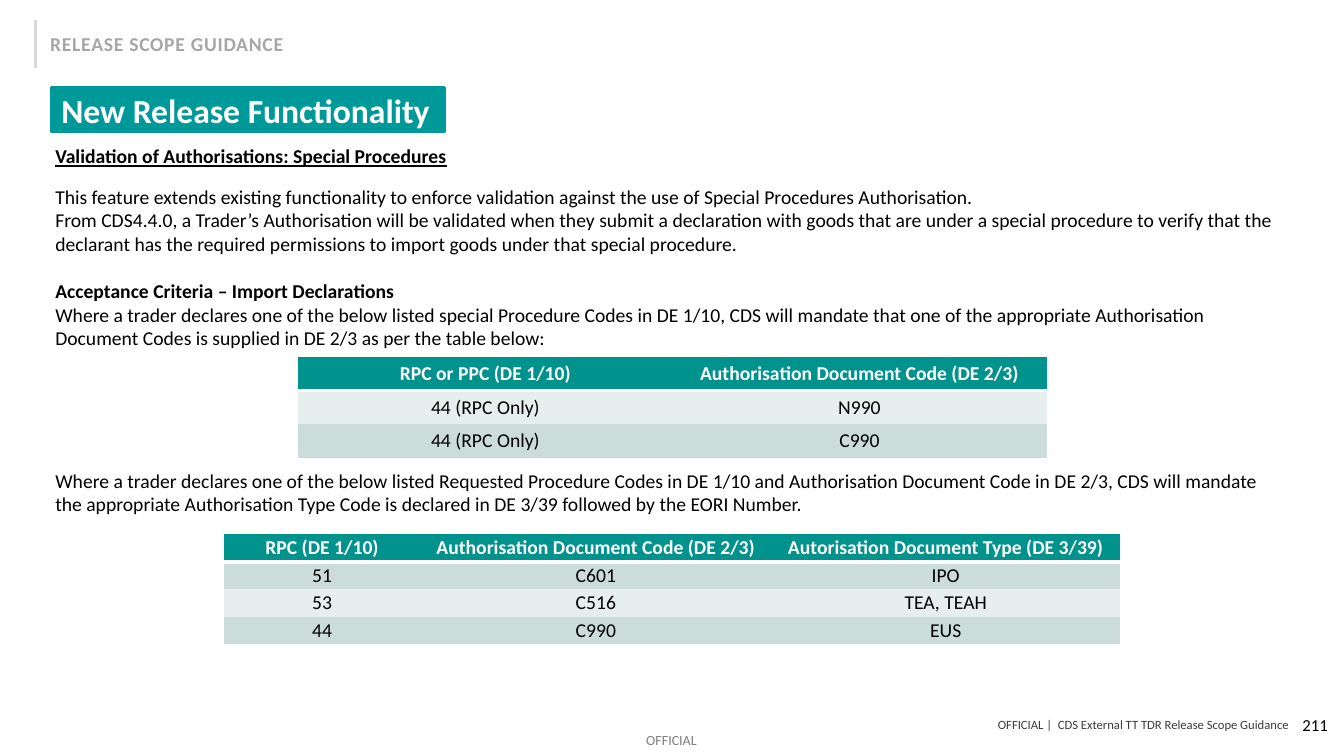
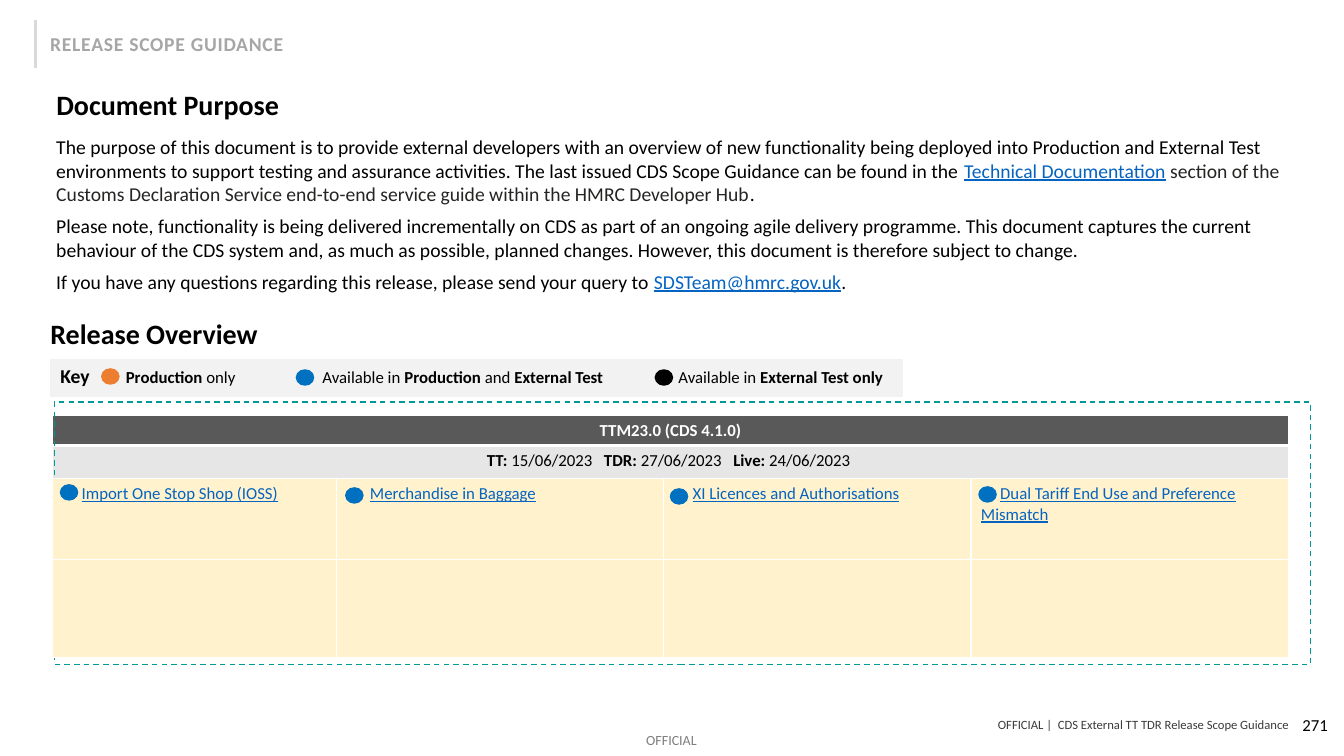
import pptx
import pptx.util
import pptx.dml.color
import pptx.enum.dml
import pptx.enum.shapes
import pptx.enum.text
from lxml import etree

Inches, Pt = pptx.util.Inches, pptx.util.Pt
RGB = pptx.dml.color.RGBColor.from_string
ALIGN = pptx.enum.text.PP_ALIGN
ANCHOR = pptx.enum.text.MSO_ANCHOR
SHAPE = pptx.enum.shapes.MSO_SHAPE


class Theme:
    font = "Calibri"
    black, white, link = "000000", "FFFFFF", "0563C1"
    teal, head, pale, mid = "009999", "00928C", "E7EEEE", "CBDCDB"
    rule, tag, foot, mark, soft = "D9D9D9", "A6A6A6", "3B3A3D", "7F7F7F", "252423"
    key, dark, grey, cream = "F2F2F2", "595959", "E7E6E6", "FFF2CC"
    orange, blue = "ED7D31", "0070C0"
    title, large, body, small, note, tiny = 24, 20, 14, 12, 10, 9


# Content: a paragraph is (space before, runs); a run is (text, marks...)
TAG = "RELEASE SCOPE GUIDANCE"
FOOT = "OFFICIAL |  CDS External TT TDR Release Scope Guidance"
MARK = "OFFICIAL"

RULES = [
    (0, [("Validation of Authorisations: Special Procedures", "bold", "under")]),
    (12.2, [("This feature extends existing functionality to enforce validation against "
             "the use of Special Procedures Authorisation.",)]),
    (0, [("From CDS4.4.0, a Trader’s Authorisation will be validated when they submit a "
          "declaration with goods that are under a special procedure to verify that the "
          "declarant has the required permissions to import goods under that special "
          "procedure.",)]),
    (17, [("Acceptance Criteria – Import Declarations", "bold")]),
    (0, [("Where a trader declares one of the below listed special Procedure Codes in "
          "DE 1/10, CDS will mandate that one of the appropriate Authorisation Document "
          "Codes is supplied in DE 2/3 as per the table below:",)]),
    (85, [("Where a trader declares one of the below listed Requested Procedure Codes in "
           "DE 1/10 and Authorisation Document Code in DE 2/3, CDS will mandate the "
           "appropriate Authorisation Type Code is declared in DE 3/39 followed by the "
           "EORI Number.",)]),
]
CODES = [
    ["RPC or PPC (DE 1/10)", "Authorisation Document Code (DE 2/3)"],
    ["44 (RPC Only)", "N990"],
    ["44 (RPC Only)", "C990"],
]
TYPES = [
    ["RPC (DE 1/10)", "Authorisation Document Code (DE 2/3)",
     "Autorisation Document Type (DE 3/39)"],
    ["51", "C601", "IPO"],
    ["53", "C516", "TEA, TEAH"],
    ["44", "C990", "EUS"],
]

PURPOSE = [
    (0, [("The purpose of this document is to provide external developers with an "
          "overview of new functionality being deployed into Production and External "
          "Test environments to support testing and assurance activities. The last "
          "issued CDS Scope Guidance can be found in the ",),
         ("Technical Documentation", "link"),
         (" section of the Customs Declaration Service end-to-end service guide within "
          "the HMRC Developer Hub", "soft"), (".",)]),
    (6, [("Please note, functionality is being delivered incrementally on CDS as part of "
          "an ongoing agile delivery programme. This document captures the current "
          "behaviour of the CDS system and, as much as possible, planned changes. "
          "However, this document is therefore subject to change.",)]),
    (6, [("If you have any questions regarding this release, please send your query to ",),
         ("SDSTeam@hmrc.gov.uk", "link"), (".",)]),
]
# Dot left, dot top, text left, colour, runs
KEYS = [
    (1.01, 3.66, 1.15, Theme.orange, [("Production", "bold"), (" only",)]),
    (2.94, 3.67, 3.1, Theme.blue, [("Available in ",), ("Production", "bold"), (" and ",),
                                   ("External Test", "bold")]),
    (6.5, 3.67, 6.63, Theme.black, [("Available in ",), ("External Test only", "bold")]),
]
RELEASE = [
    ["TTM23.0 (CDS 4.1.0)"],
    [[("TT: ", "bold"), ("15/06/2023   ",), ("TDR: ", "bold"), ("27/06/2023   ",),
      ("Live: ", "bold"), ("24/06/2023 ",)]],
]
# Name, left margin, first-line indent, dot left, dot top
ITEMS = [
    ("Import One Stop Shop (IOSS)", 0.19, 0, 0.6, 4.81),
    ("Merchandise in Baggage", 0.23, 0, 3.43, 4.84),
    ("XI Licences and Authorisations", 0.19, 0, 6.65, 4.85),
    ("Dual Tariff End Use and Preference Mismatch", 0, 0.19, 9.71, 4.83),
]


# Text
def write(frame, paras, size, ink=Theme.black, bold=False, align=ALIGN.LEFT, track=0):
    for i, (gap, runs) in enumerate(paras):
        para = frame.add_paragraph() if i else frame.paragraphs[0]
        para.alignment = align
        para.space_before = Pt(gap)
        for words, *marks in runs:
            run = para.add_run()
            run.text = words
            font = run.font
            font.name, font.size = Theme.font, Pt(size)
            font.bold = bold or "bold" in marks
            font.underline = "under" in marks or "link" in marks
            tint = Theme.link if "link" in marks else Theme.soft if "soft" in marks else ink
            font.color.rgb = RGB(tint)
            if track:
                font._element.set("spc", str(track))


def plain(words):
    return [(0, [(words,)])]


def label(slide, at, paras, size, inset=True, mid=False, wrap=True, **look):
    frame = slide.shapes.add_textbox(*map(Inches, at)).text_frame
    frame.word_wrap = wrap
    if mid:
        frame.vertical_anchor = ANCHOR.MIDDLE
    if not inset:
        frame.margin_left = frame.margin_right = frame.margin_top = frame.margin_bottom = 0
    write(frame, paras, size, **look)


# Shapes
def block(slide, at, fill, line, width=1, kind=SHAPE.RECTANGLE):
    shape = slide.shapes.add_shape(kind, *map(Inches, at))
    shape.shadow.inherit = False
    if fill:
        shape.fill.solid()
        shape.fill.fore_color.rgb = RGB(fill)
    else:
        shape.fill.background()
    shape.line.color.rgb = RGB(line)
    shape.line.width = Pt(width)
    return shape


def dot(slide, left, top, tint):
    block(slide, (left, top, 0.17, 0.15), tint, tint, kind=SHAPE.OVAL)


# Tables
def edge(cell, widths):
    props = cell._tc.get_or_add_tcPr()
    for side, width in zip("LRTB", widths):
        line = etree.SubElement(props, pptx.oxml.ns.qn("a:ln" + side), w=str(Pt(width)))
        fill = etree.SubElement(line, pptx.oxml.ns.qn("a:solidFill" if width else "a:noFill"))
        if width:
            etree.SubElement(fill, pptx.oxml.ns.qn("a:srgbClr"), val=Theme.white)


def grid(slide, left, top, cols, rows, data, fills, size, head=True, rule=0, pad=None):
    table = slide.shapes.add_table(len(rows), len(cols), Inches(left), Inches(top),
                                   Inches(sum(cols)), Inches(sum(rows))).table
    table.first_row = table.horz_banding = False
    for col, width in zip(table.columns, cols):
        col.width = Inches(width)
    for r, (row, high, fill) in enumerate(zip(data, rows, fills)):
        table.rows[r].height = Inches(high)
        top_row = head and r == 0
        above = 3 if head and r == 1 else rule
        for c, words in enumerate(row):
            cell = table.cell(r, c)
            edge(cell, (rule, rule, above, 3 if top_row else rule))
            cell.fill.solid()
            cell.fill.fore_color.rgb = RGB(fill)
            if pad:
                cell.margin_left = cell.margin_right = Inches(0.03)
                cell.margin_top = cell.margin_bottom = Inches(pad)
                cell.vertical_anchor = ANCHOR.MIDDLE
            if words:
                paras = plain(words) if isinstance(words, str) else [(0, words)]
                write(cell.text_frame, paras, size, bold=top_row, align=ALIGN.CENTER,
                      ink=Theme.white if top_row else Theme.black)
    return table


# Shared frame: tag, rule, footers, page number
def page(deck, number):
    slide = deck.slides.add_slide(deck.slide_layouts[6])
    label(slide, (3.22, 7.11, 9.56, 0.16), plain(FOOT), Theme.tiny, inset=False, mid=True,
          ink=Theme.foot, align=ALIGN.RIGHT)
    label(slide, (6.41, 7.26, 0.53, 0.17), plain(MARK), Theme.note, inset=False,
          wrap=False, ink=Theme.mark)
    bar = slide.shapes.add_connector(pptx.enum.shapes.MSO_CONNECTOR.STRAIGHT,
                                     *map(Inches, (0.35, 0.2, 0.35, 0.67)))
    bar.line.color.rgb = RGB(Theme.rule)
    bar.line.width = Pt(2.25)
    etree.SubElement(bar._element.spPr, pptx.oxml.ns.qn("a:effectLst"))
    label(slide, (0.4, 0.27, 2.54, 0.34), plain(TAG), Theme.body, wrap=False,
          ink=Theme.tag, bold=True, track=50)
    label(slide, (10.27, 6.99, 3, 0.4), plain(number), Theme.small, mid=True,
          align=ALIGN.RIGHT)
    return slide


def rules(deck):
    slide = page(deck, "211")
    band = block(slide, (0.51, 0.87, 3.9, 0.44), Theme.teal, Theme.teal, 2)
    band.text_frame.vertical_anchor = ANCHOR.MIDDLE
    write(band.text_frame, plain("New Release Functionality"), Theme.title,
          ink=Theme.white, bold=True)
    label(slide, (0.45, 1.38, 12.34, 4.51), RULES, Theme.body)
    grid(slide, 2.96, 3.54, [3.71] * 2, [0.33] * 3, CODES,
         [Theme.head, Theme.pale, Theme.mid], Theme.body)
    grid(slide, 2.22, 5.3, [1.95, 3.48, 3.46], [0.27] * 4, TYPES,
         [Theme.head, Theme.mid, Theme.pale, Theme.mid], Theme.body, pad=0.02)


def overview(deck):
    slide = page(deck, "271")
    # Purpose
    label(slide, (0.46, 0.82, 8.15, 0.44), plain("Document Purpose"), Theme.large, bold=True)
    label(slide, (0.46, 1.29, 12.34, 1.68), PURPOSE, Theme.body)
    # Key
    label(slide, (0.4, 3.09, 9.18, 0.44), plain("Release Overview"), Theme.large, bold=True)
    block(slide, (0.5, 3.57, 8.45, 0.36), Theme.key, Theme.key)
    label(slide, (0.5, 3.56, 0.54, 0.34), plain("Key"), Theme.body, wrap=False, bold=True)
    for left, top, start, tint, runs in KEYS:
        label(slide, (start, 3.59, 3.2, 0.3), [(0, runs)], Theme.small)
        dot(slide, left, top, tint)
    # Release and its features
    grid(slide, 0.52, 4.12, [12.26], [0.3, 0.34], RELEASE, [Theme.dark, Theme.grey],
         Theme.small, rule=1)
    frame = block(slide, (0.54, 3.99, 12.46, 2.6), None, Theme.teal)
    frame.line.dash_style = pptx.enum.dml.MSO_LINE.DASH
    cells = [[[(item[0], "link")] for item in ITEMS], [""] * len(ITEMS)]
    table = grid(slide, 0.52, 4.75, [2.82, 3.24, 3.05, 3.15], [0.8, 0.97], cells,
                 [Theme.cream] * 2, Theme.small, head=False, rule=1)
    for c, (_, margin, indent, left, top) in enumerate(ITEMS):
        para = table.cell(0, c).text_frame.paragraphs[0]
        para.alignment = ALIGN.LEFT
        props = para._p.get_or_add_pPr()
        props.set("marL", str(Inches(margin)))
        props.set("indent", str(Inches(indent)))
        dot(slide, left, top, Theme.blue)


def main():
    deck = pptx.Presentation()
    deck.slide_width, deck.slide_height = Inches(13.33), Inches(7.5)
    rules(deck)
    overview(deck)
    deck.save("out.pptx")


if __name__ == "__main__":
    main()
